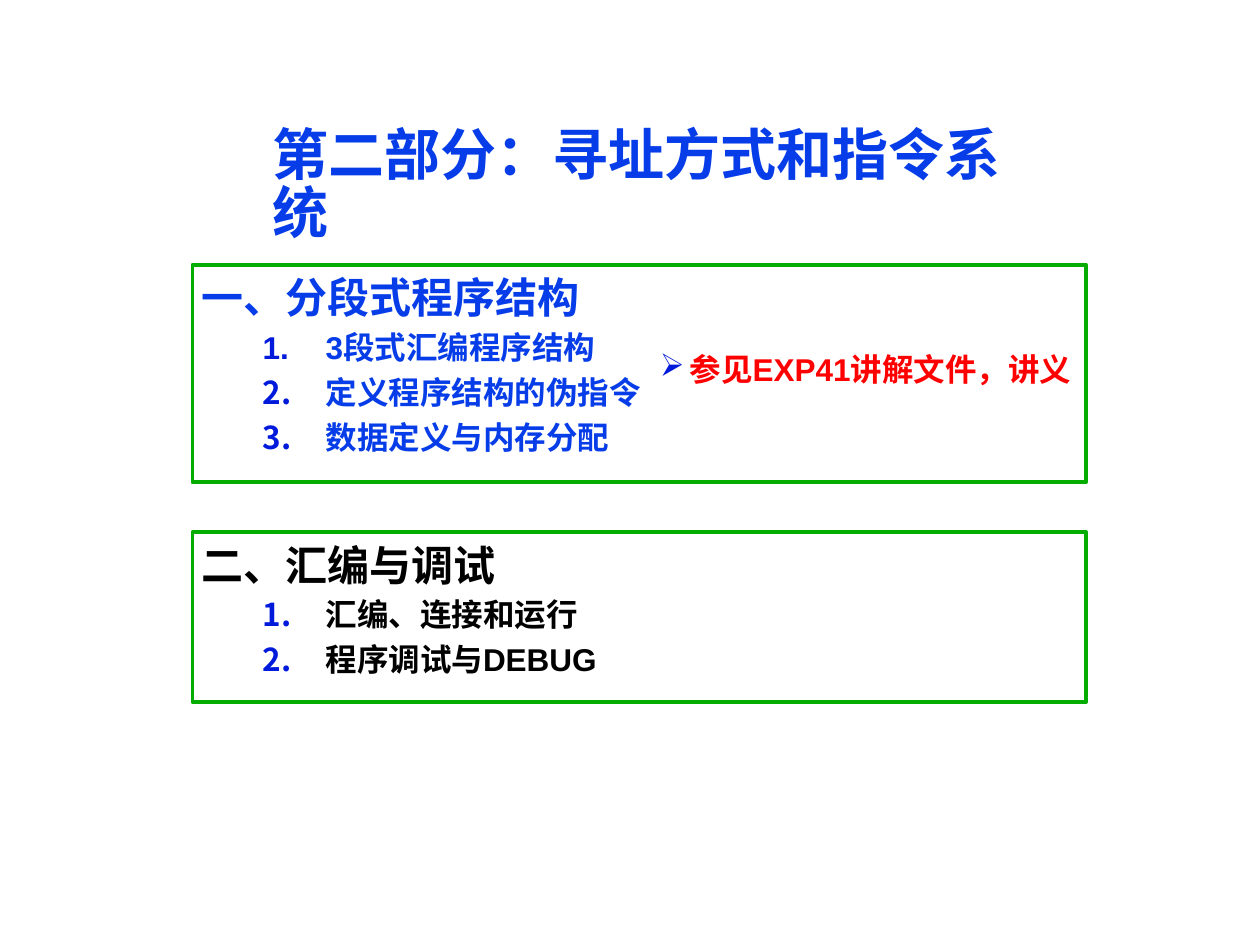
"""Builds the section slide on addressing modes and the instruction set."""
from dataclasses import dataclass
from lxml.etree import SubElement
from pptx import Presentation
from pptx.dml.color import RGBColor
from pptx.enum.shapes import MSO_SHAPE
from pptx.enum.text import MSO_ANCHOR, PP_ALIGN
from pptx.oxml.ns import qn
from pptx.slide import Slide
from pptx.util import Pt

BLUE = RGBColor(0x06, 0x3D, 0xE8)
NAVY = RGBColor(0x00, 0x1A, 0xDC)
GREEN = RGBColor(0x05, 0xAD, 0x01)
RED = RGBColor(0xFF, 0x00, 0x00)
BLACK = RGBColor(0x00, 0x00, 0x00)
NUMBER = ("a:buAutoNum", {"type": "arabicPeriod"})
ARROW = ("a:buChar", {"char": "➢"})


@dataclass
class Deck:
    slide: Slide
    latin: str = "Arial"
    asian: str = "Noto Sans CJK SC"

    def setup(self, frame, side, edge):
        values = {
            "word_wrap": True,
            "vertical_anchor": MSO_ANCHOR.TOP,
            "margin_left": Pt(side),
            "margin_right": Pt(side),
            "margin_top": Pt(edge),
            "margin_bottom": Pt(edge),
        }
        for name, value in values.items():
            setattr(frame, name, value)

    def line(self, para, text, size, color, pitch, before=0, level=0, font=None):
        values = {
            "alignment": PP_ALIGN.LEFT,
            "line_spacing": pitch,
            "space_before": Pt(before),
            "level": level,
        }
        for name, value in values.items():
            setattr(para, name, value)
        run = para.add_run()
        run.text = text
        style = {"name": font or self.latin, "size": Pt(size), "bold": True}
        for name, value in style.items():
            setattr(run.font, name, value)
        run.font.color.rgb = color
        SubElement(run._r.get_or_add_rPr(), qn("a:ea"), typeface=self.asian)

    def bullet(self, para, mark, left, hang):
        props = para._p.get_or_add_pPr()
        props.set("marL", str(Pt(left)))
        props.set("indent", str(Pt(-hang)))
        tint = SubElement(props, qn("a:buClr"))
        SubElement(tint, qn("a:srgbClr"), val=str(NAVY))
        tag, attrs = mark
        SubElement(props, qn(tag), attrs)

    def label(self, area, side, edge):
        frame = self.slide.shapes.add_textbox(*map(Pt, area)).text_frame
        self.setup(frame, side, edge)
        return frame.paragraphs[0]

    def title(self, area, text):
        para = self.label(area, 5, 2)
        self.line(para, text, 32, BLUE, 0.87, font=self.asian)

    def note(self, area, text):
        para = self.label(area, 7.2, 3.6)
        self.line(para, text, 18, RED, 0.85, 7.2)
        self.bullet(para, ARROW, 17, 17)

    def panel(self, top, height, color, head, items):
        area = map(Pt, (110, top, 510.5, height))
        box = self.slide.shapes.add_shape(MSO_SHAPE.RECTANGLE, *area)
        box.shadow.inherit = False
        box.fill.background()
        box.line.color.rgb = GREEN
        box.line.width = Pt(2.25)
        frame = box.text_frame
        self.setup(frame, 5, 10.8)
        self.line(frame.paragraphs[0], head, 24, color, 0.75, 15.6)
        for item in items:
            para = frame.add_paragraph()
            self.line(para, item, 18, color, 0.85, 7.2, 1)
            self.bullet(para, NUMBER, 71, 36)


show = Presentation()
show.slide_width, show.slide_height = Pt(720), Pt(540)
deck = Deck(show.slides.add_slide(show.slide_layouts[6]))
deck.title((150.5, 71.3, 457, 37.5), "第二部分：寻址方式和指令系统")
deck.panel(151.2, 124.5, BLUE, "一、分段式程序结构",
           ["3段式汇编程序结构", "定义程序结构的伪指令", "数据定义与内存分配"])
deck.panel(304, 97.2, BLACK, "二、汇编与调试",
           ["汇编、连接和运行", "程序调试与DEBUG"])
deck.note((370, 200, 250, 26), "参见EXP41讲解文件，讲义")
show.save("out.pptx")
